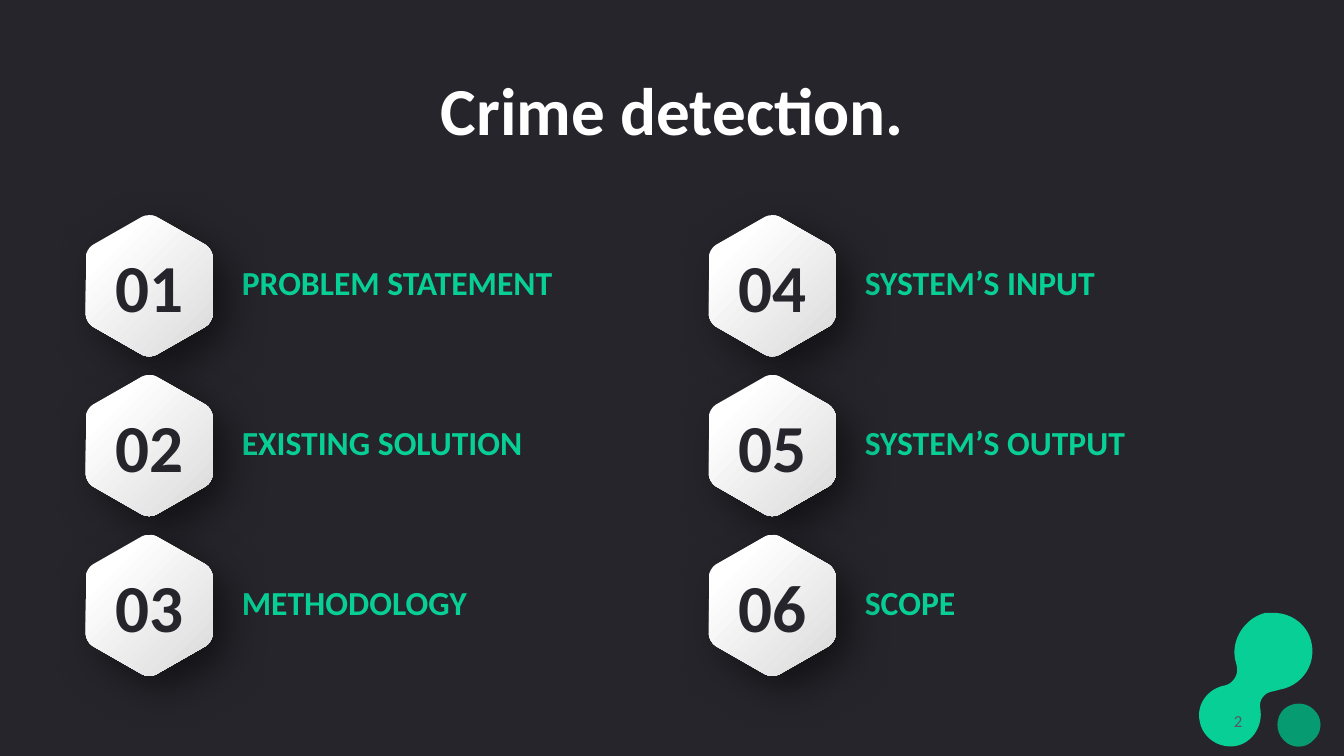
"""Build the agenda slide of the crime detection presentation."""
import dataclasses
import math

import lxml.etree
import pptx
import pptx.dml.color
import pptx.enum.text
import pptx.oxml.ns
import pptx.util

EMU_PER_PX = 9144
FONT = "Calibri"
DARK, WHITE, GREEN, DEEP_GREEN, GREY = "25252B", "FFFFFF", "08CF96", "069B71", "575765"
MIDDLE = pptx.enum.text.MSO_ANCHOR.MIDDLE
BOTTOM = pptx.enum.text.MSO_ANCHOR.BOTTOM
LEFT = pptx.enum.text.PP_ALIGN.LEFT
CENTER = pptx.enum.text.PP_ALIGN.CENTER
RIGHT = pptx.enum.text.PP_ALIGN.RIGHT

Point = tuple[float, float]
Segment = list[Point]


@dataclasses.dataclass
class Topic:
    number: str
    label: str
    column: int
    row: int


@dataclasses.dataclass
class Blob:
    color: str
    start: Point
    segments: list[Segment]


LABELS = ["PROBLEM STATEMENT", "EXISTING SOLUTION", "METHODOLOGY",
          "SYSTEM’S INPUT", "SYSTEM’S OUTPUT", "SCOPE"]
TOPICS = [Topic(f"{index + 1:02}", label, index // 3, index % 3)
          for index, label in enumerate(LABELS)]
GRID_LEFT, GRID_TOP, COLUMN_PITCH, GRID_HEIGHT = 85, 213, 618, 317

HEXAGON = [(63, -2), (126, 34), (126, 107), (63, 143), (0, 107), (0, 34)]
CORNER_CUT = 8
BLOBS = [
    Blob(GREEN, (1301, 639), [
        [(1305, 660), (1291, 680), (1270, 684)],
        [(1262, 686)],
        [(1254, 687), (1248, 695), (1250, 703)],
        [(1253, 720), (1242, 737), (1226, 740)],
        [(1209, 743), (1193, 732), (1190, 716)],
        [(1186, 699), (1198, 683), (1215, 680)],
        [(1223, 678), (1228, 670), (1227, 662)],
        [(1225, 654)],
        [(1221, 634), (1235, 613), (1255, 608)],
        [(1258, 608), (1261, 608), (1263, 608)],
        [(1282, 608), (1298, 621), (1301, 639)],
    ]),
    Blob(DEEP_GREEN, (1303, 704), [
        [(1312, 712), (1312, 726), (1303, 734)],
        [(1295, 743), (1281, 743), (1273, 734)],
        [(1265, 726), (1265, 712), (1273, 704)],
        [(1277, 700), (1283, 698), (1288, 698)],
        [(1294, 698), (1299, 700), (1303, 704)],
    ]),
]


def px(length: float) -> int:
    return round(length * EMU_PER_PX)


def color(value: str) -> pptx.dml.color.RGBColor:
    return pptx.dml.color.RGBColor.from_string(value)


def toward(start: Point, end: Point, distance: float) -> Point:
    share = distance / math.dist(start, end)
    return (start[0] + share * (end[0] - start[0]),
            start[1] + share * (end[1] - start[1]))


def rounded_polygon(corners: list[Point], cut: float) -> tuple[Point, list[Segment]]:
    segments = []
    for i, corner in enumerate(corners):
        before, after = corners[i - 1], corners[(i + 1) % len(corners)]
        segments.append([toward(corner, before, cut)])
        segments.append([toward(corner, before, cut / 2), toward(corner, after, cut / 2),
                         toward(corner, after, cut)])
    return segments[0][0], segments[1:]


def add_outline(slide, start: Point, segments: list[Segment], left: float = 0, top: float = 0):
    qn = pptx.oxml.ns.qn
    points = [(px(left + x), px(top + y)) for segment in [[start], *segments] for x, y in segment]
    builder = slide.shapes.build_freeform(*points[0], scale=1.0)
    builder.add_line_segments(points[1:], close=True)
    shape = builder.convert_to_shape()
    outline = shape._element.find(".//" + qn("a:path"))
    lines = iter(outline.findall(qn("a:lnTo")))
    for segment in segments:
        first, *others = [next(lines) for point in segment]
        if others:
            first.tag = qn("a:cubicBezTo")
        for line in others:
            first.append(line[0])
            outline.remove(line)
    shape.line.fill.background()
    shape.shadow.inherit = False
    return shape


def fill_solid(shape, value: str) -> None:
    shape.fill.solid()
    shape.fill.fore_color.rgb = color(value)


def fill_gradient(shape) -> None:
    shape.fill.gradient()
    shape.fill.gradient_angle = 315
    for stop, position, value in zip(shape.fill.gradient_stops, (0.2, 1), (WHITE, "DAD9D9")):
        stop.position = position
        stop.color.rgb = color(value)


def add_shadow(shape) -> None:
    qn = pptx.oxml.ns.qn
    effects = shape._element.spPr.find(qn("a:effectLst"))
    shadow = lxml.etree.SubElement(
        effects, qn("a:outerShdw"), blurRad=str(pptx.util.Pt(30)),
        dist=str(pptx.util.Pt(14)), dir="2700000", algn="tl", rotWithShape="0")
    black = lxml.etree.SubElement(shadow, qn("a:srgbClr"), val="000000")
    lxml.etree.SubElement(black, qn("a:alpha"), val="50000")


def write(shape, text: str, *, size: int, value: str, bold: bool = True, align=LEFT,
          anchor=MIDDLE, insets: tuple[int, int, int, int] = (10, 5, 10, 5),
          spacing: float = 1.0) -> None:
    frame = shape.text_frame
    frame.word_wrap = True
    frame.vertical_anchor = anchor
    frame.margin_left, frame.margin_top, frame.margin_right, frame.margin_bottom = map(px, insets)
    paragraph = frame.paragraphs[0]
    paragraph.alignment = align
    paragraph.line_spacing = spacing
    run = paragraph.add_run()
    run.text = text
    run.font.name = FONT
    run.font.size = pptx.util.Pt(size)
    run.font.bold = bold
    run.font.color.rgb = color(value)


def add_topic(slide, topic: Topic) -> None:
    left = GRID_LEFT + topic.column * COLUMN_PITCH
    top = GRID_TOP + topic.row * GRID_HEIGHT / 2
    label = slide.shapes.add_textbox(px(left + 145), px(top + 26), px(363), px(61))
    write(label, topic.label, size=24, value=GREEN, anchor=BOTTOM, insets=(10, 20, 10, 0))
    label.text_frame.auto_size = pptx.enum.text.MSO_AUTO_SIZE.SHAPE_TO_FIT_TEXT
    badge = add_outline(slide, *rounded_polygon(HEXAGON, CORNER_CUT), left, top)
    fill_gradient(badge)
    add_shadow(badge)
    write(badge, topic.number, size=48, value=DARK, align=CENTER, insets=(6, 3, 6, 3))


def main() -> None:
    presentation = pptx.Presentation()
    presentation.slide_width, presentation.slide_height = px(1333), px(750)
    slide = presentation.slides.add_slide(presentation.slide_layouts[5])
    fill_solid(slide.background, DARK)

    title = slide.shapes.title
    title.left, title.top, title.width, title.height = map(px, (92, 40, 1150, 145))
    write(title, "Crime detection.", size=48, value=WHITE, align=CENTER, spacing=0.9)

    for blob in BLOBS:
        fill_solid(add_outline(slide, blob.start, blob.segments), blob.color)
    page_number = slide.shapes.add_textbox(px(942), px(695), px(300), px(40))
    write(page_number, "2", size=12, value=GREY, bold=False, align=RIGHT)
    for topic in TOPICS:
        add_topic(slide, topic)
    presentation.save("out.pptx")


if __name__ == "__main__":
    main()
